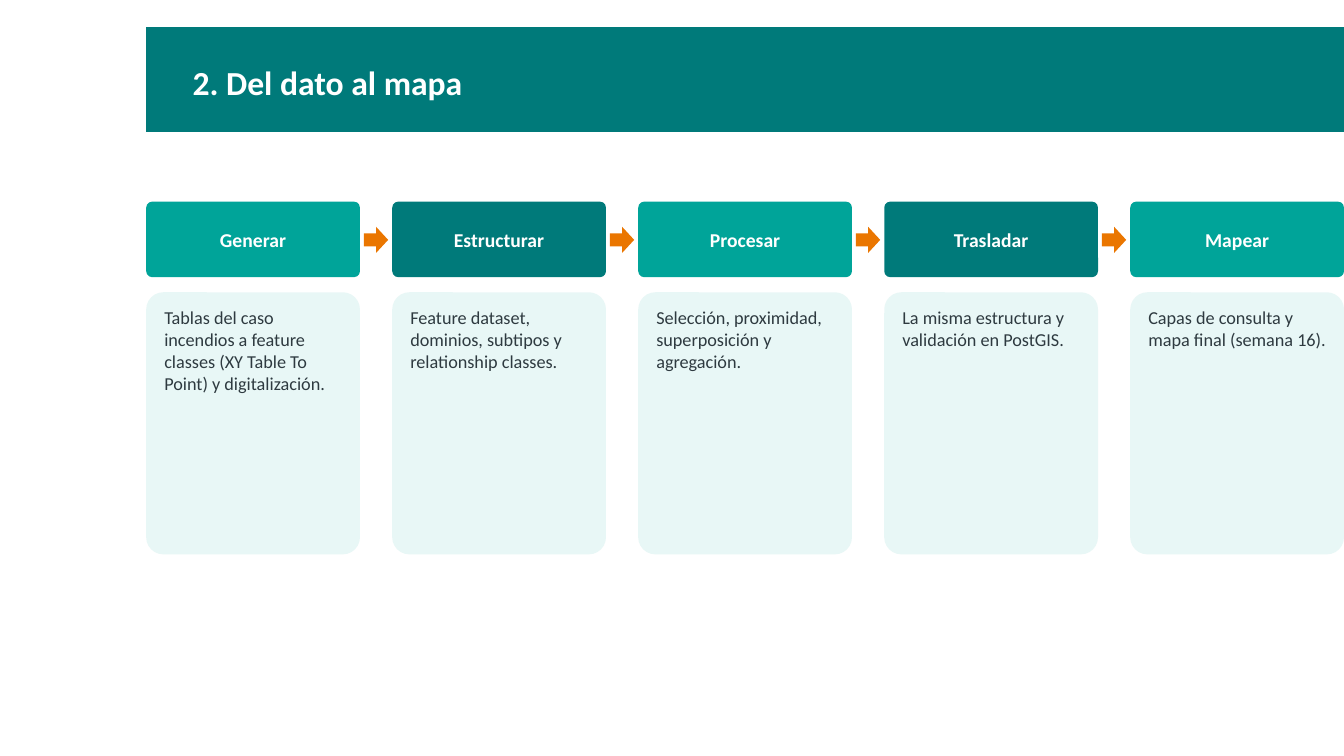
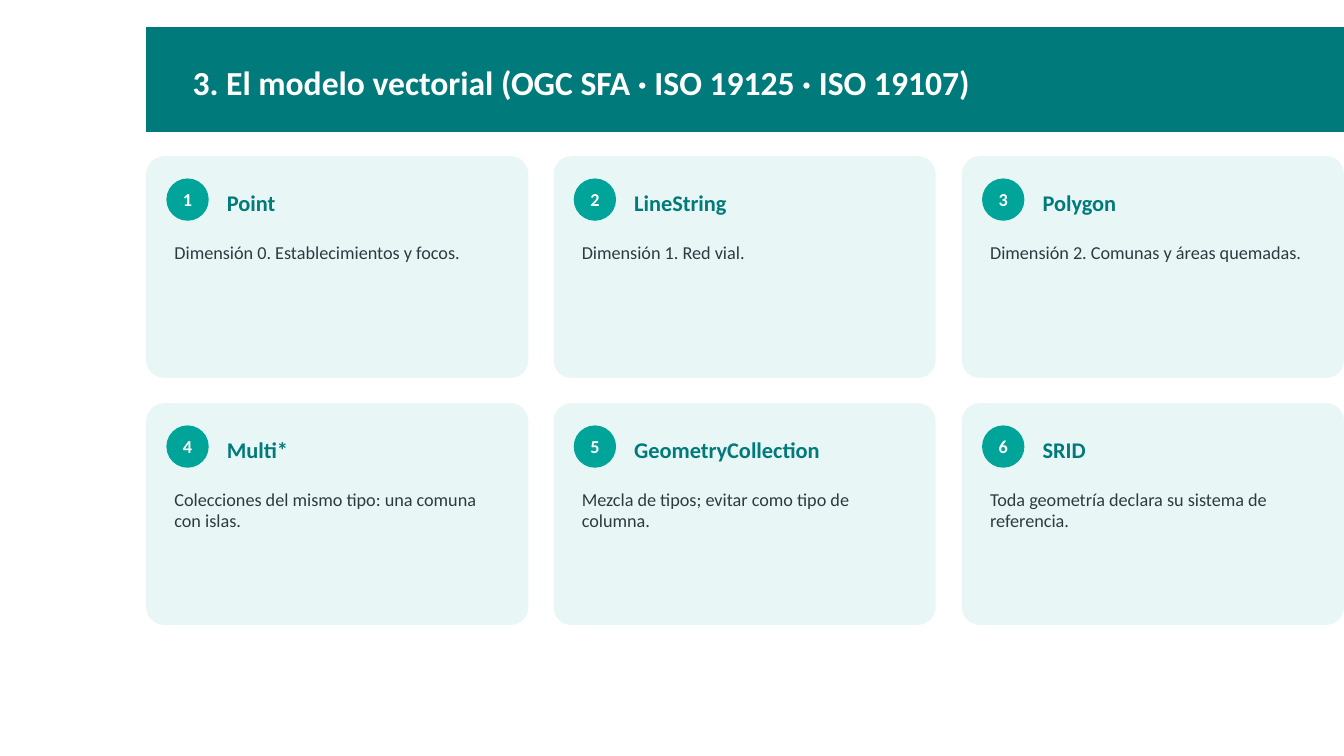
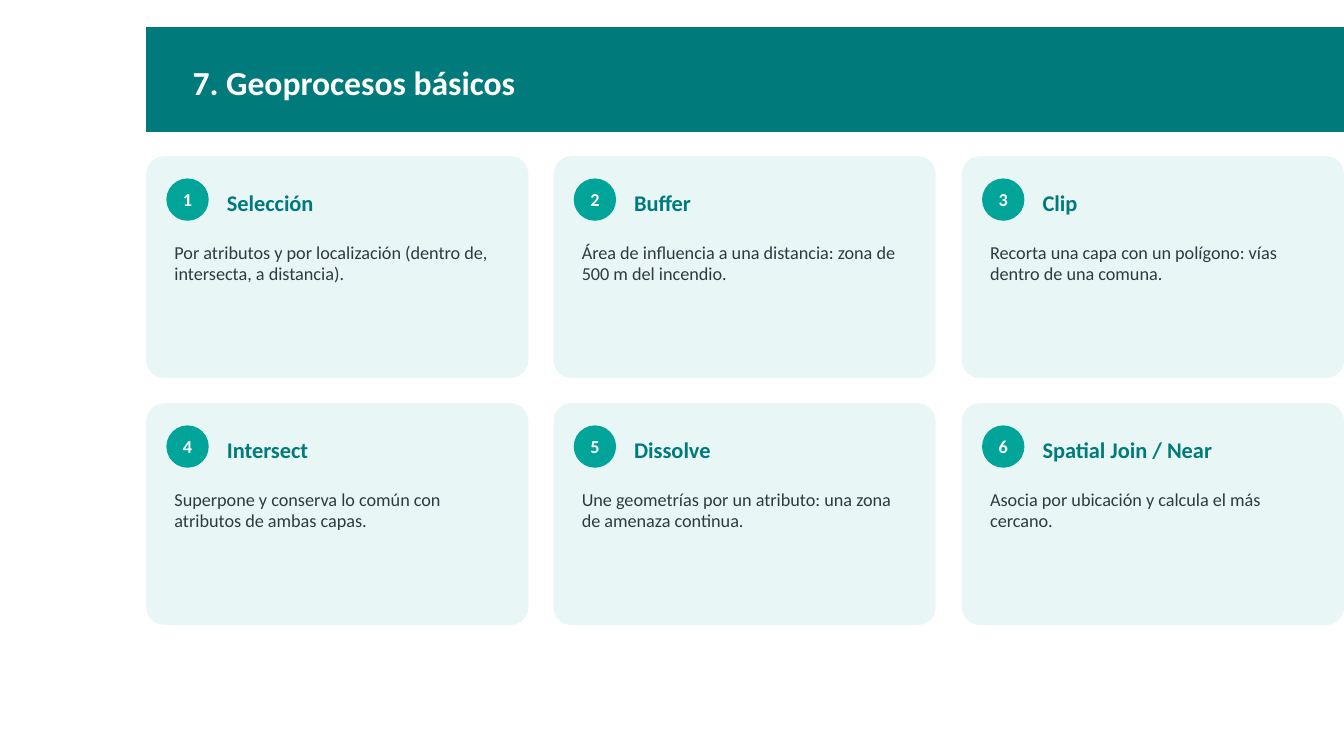
from pptx import Presentation
from pptx.dml.color import RGBColor
from pptx.enum.shapes import MSO_SHAPE
from pptx.enum.text import MSO_ANCHOR, MSO_AUTO_SIZE, PP_ALIGN
from pptx.util import Pt

PX = 9144
FONT = "Calibri"
COLOURS = {
    "teal": "007A7A",
    "turquoise": "00A499",
    "pale": "E8F7F6",
    "orange": "EA7600",
    "ink": "2E3A40",
    "white": "FFFFFF",
}
LEFT, CONTENT_WIDTH = 145, 1188


def add_box(slide, kind, left, top, width, height, fill):
    shape = slide.shapes.add_shape(kind, left * PX, top * PX, width * PX, height * PX)
    shape.shadow.inherit = False
    shape.fill.solid()
    shape.fill.fore_color.rgb = RGBColor.from_string(COLOURS[fill])
    shape.line.fill.background()
    if kind == MSO_SHAPE.ROUNDED_RECTANGLE:
        shape.adjustments[0] = 0.08
    return shape


def write(shape, text, size=13, colour="ink", bold=False, align=PP_ALIGN.LEFT,
          anchor=MSO_ANCHOR.MIDDLE, margins=(8, 4, 8, 4), wrap=True):
    frame = shape.text_frame
    frame.auto_size = MSO_AUTO_SIZE.NONE
    frame.word_wrap = wrap
    frame.vertical_anchor = anchor
    frame.margin_left, frame.margin_top, frame.margin_right, frame.margin_bottom = (
        margin * PX for margin in margins)
    frame.text = text
    paragraph = frame.paragraphs[0]
    paragraph.alignment = align
    paragraph.space_before = Pt(0)
    paragraph.space_after = Pt(6)
    font = paragraph.runs[0].font
    font.name = FONT
    font.size = Pt(size)
    font.bold = bold
    font.color.rgb = RGBColor.from_string(COLOURS[colour])


presentation = Presentation()
presentation.slide_width = 1333 * PX
presentation.slide_height = 750 * PX
layout = presentation.slide_layouts[5]
layout_title = layout.placeholders[0]
layout_title.left, layout_title.top = 183 * PX, 38 * PX
layout_title.width, layout_title.height = 1090 * PX, 87 * PX

titles = [
    "2. Del dato al mapa",
    "3. El modelo vectorial (OGC SFA · ISO 19125 · ISO 19107)",
    "7. Geoprocesos básicos",
]
slides = []
for title in titles:
    slide = presentation.slides.add_slide(layout)
    write(slide.shapes.title, title, size=24, colour="white", bold=True)
    slides.append(slide)
process_slide, *card_slides = slides

title_band = add_box(process_slide, MSO_SHAPE.RECTANGLE, LEFT, 27, CONTENT_WIDTH, 104, "teal")
layout.shapes._spTree.insert(2, title_band._element)

steps = [
    ("Generar", "Tablas del caso incendios a feature classes (XY Table To Point) y digitalización."),
    ("Estructurar", "Feature dataset, dominios, subtipos y relationship classes."),
    ("Procesar", "Selección, proximidad, superposición y agregación."),
    ("Trasladar", "La misma estructura y validación en PostGIS."),
    ("Mapear", "Capas de consulta y mapa final (semana 16)."),
]
step_gap = 32
step_width = (CONTENT_WIDTH - step_gap * (len(steps) - 1)) // len(steps)
for index, (name, description) in enumerate(steps):
    left = LEFT + index * (step_width + step_gap)
    header = add_box(process_slide, MSO_SHAPE.ROUNDED_RECTANGLE, left, 200, step_width, 75,
                     ("turquoise", "teal")[index % 2])
    write(header, name, size=14, colour="white", bold=True, align=PP_ALIGN.CENTER)
    panel = add_box(process_slide, MSO_SHAPE.ROUNDED_RECTANGLE, left, 290, step_width, 260, "pale")
    write(panel, description, anchor=MSO_ANCHOR.TOP, margins=(13, 9, 12, 9))
    if index < len(steps) - 1:
        add_box(process_slide, MSO_SHAPE.RIGHT_ARROW, left + step_width + 4, 225, 24, 26, "orange")

geometry_cards = [
    ("Point", "Dimensión 0. Establecimientos y focos."),
    ("LineString", "Dimensión 1. Red vial."),
    ("Polygon", "Dimensión 2. Comunas y áreas quemadas."),
    ("Multi*", "Colecciones del mismo tipo: una comuna con islas."),
    ("GeometryCollection", "Mezcla de tipos; evitar como tipo de columna."),
    ("SRID", "Toda geometría declara su sistema de referencia."),
]
geoprocess_cards = [
    ("Selección", "Por atributos y por localización (dentro de, intersecta, a distancia)."),
    ("Buffer", "Área de influencia a una distancia: zona de 500 m del incendio."),
    ("Clip", "Recorta una capa con un polígono: vías dentro de una comuna."),
    ("Intersect", "Superpone y conserva lo común con atributos de ambas capas."),
    ("Dissolve", "Une geometrías por un atributo: una zona de amenaza continua."),
    ("Spatial Join / Near", "Asocia por ubicación y calcula el más cercano."),
]
columns, card_gap, card_height = 3, 25, 220
card_pitch = (CONTENT_WIDTH + card_gap) / columns
card_width = round(card_pitch - card_gap)
for slide, cards in zip(card_slides, (geometry_cards, geoprocess_cards)):
    for index, (name, description) in enumerate(cards):
        row, column = divmod(index, columns)
        left = round(LEFT + column * card_pitch)
        top = 155 + row * (card_height + card_gap)
        add_box(slide, MSO_SHAPE.ROUNDED_RECTANGLE, left, top, card_width, card_height, "pale")
        badge = add_box(slide, MSO_SHAPE.OVAL, left + 20, top + 22, 42, 42, "turquoise")
        write(badge, str(index + 1), colour="white", bold=True, align=PP_ALIGN.CENTER, wrap=False)
        heading = slide.shapes.add_textbox(
            (left + 72) * PX, (top + 18) * PX, (card_width - 90) * PX, 55 * PX)
        write(heading, name, size=16, colour="teal", bold=True)
        body = slide.shapes.add_textbox(
            (left + 20) * PX, (top + 80) * PX, (card_width - 40) * PX, 130 * PX)
        write(body, description, anchor=MSO_ANCHOR.TOP)

presentation.save("out.pptx")
